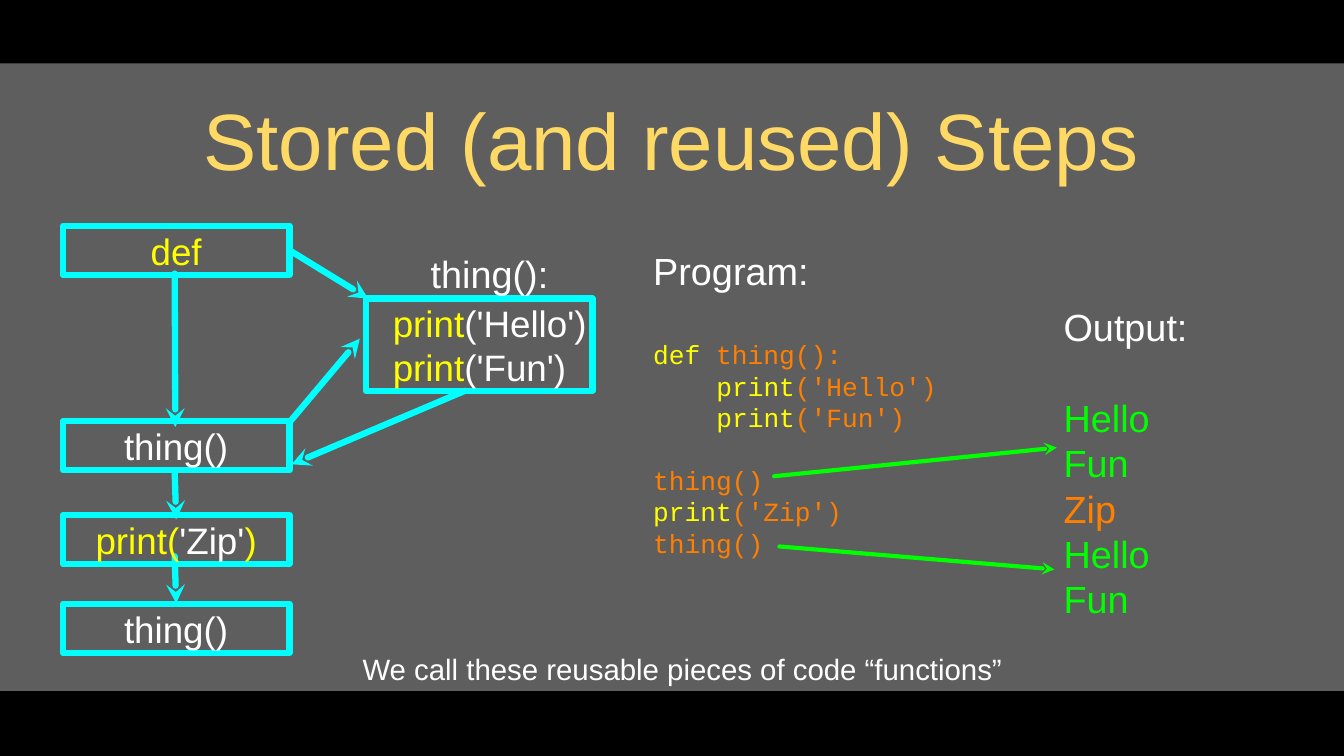
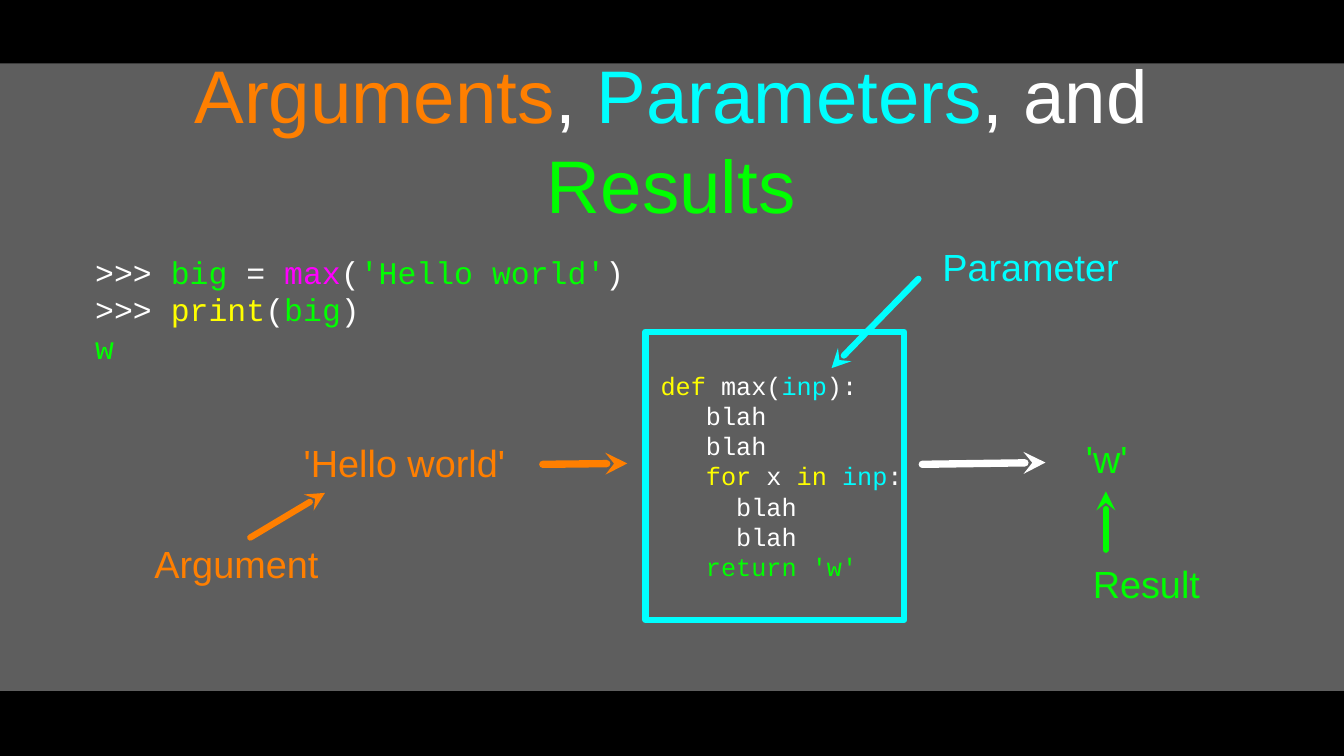
"""Build two slides on stored steps and on arguments, parameters and results."""
from itertools import repeat

from lxml.etree import SubElement
from pptx import Presentation
from pptx.dml.color import RGBColor
from pptx.enum.shapes import MSO_CONNECTOR, MSO_SHAPE
from pptx.enum.text import MSO_ANCHOR, PP_ALIGN
from pptx.oxml.ns import qn
from pptx.util import Cm, Pt

COLORS = {
    "background": "5E5E5E", "black": "000000", "white": "FFFFFF", "gold": "FFD966",
    "orange": "FF7F00", "green": "00FF00", "yellow": "FFFF00", "cyan": "00FFFF",
    "aqua": "00FDFF", "magenta": "FF00FF",
}
RGB = {name: RGBColor.from_string(value) for name, value in COLORS.items()}
SLIDE_WIDTH, SLIDE_HEIGHT = 45.16, 25.4
TITLE_BOX = (3.2, 2.24, 38.71, 4.83)
BANDS = [(0, 2.13), (23.22, 2.18)]
LABEL_HEIGHT = 1.73
LINE_FACTOR = 1.2
CODE_FONT = "Courier New"


def add_text(slide, box, lines, size, font="Arial", align=PP_ALIGN.CENTER, indents=repeat(0), outlined=False):
    left, top, width, height = map(Cm, box)
    if outlined:
        shape = slide.shapes.add_shape(MSO_SHAPE.RECTANGLE, left, top, width, height)
        shape.shadow.inherit = False
        shape.fill.background()
        shape.line.color.rgb = RGB["cyan"]
        shape.line.width = Pt(6)
    else:
        shape = slide.shapes.add_textbox(left, top, width, height)
    frame = shape.text_frame
    frame.word_wrap = True
    frame.vertical_anchor = MSO_ANCHOR.MIDDLE
    frame.margin_left = frame.margin_top = frame.margin_right = frame.margin_bottom = 0
    for index, (runs, indent) in enumerate(zip(lines, indents)):
        paragraph = frame.add_paragraph() if index else frame.paragraphs[0]
        paragraph.alignment = align
        paragraph.line_spacing = Pt(size * LINE_FACTOR)
        paragraph.font.size = Pt(size)
        paragraph.font.name = font
        paragraph._p.get_or_add_pPr().set("marL", str(Cm(indent)))
        for text, color in runs:
            run = paragraph.add_run()
            run.text = text
            run.font.color.rgb = RGB[color]
    return frame.paragraphs


def add_arrow(slide, start, end, color, width):
    arrow = slide.shapes.add_connector(MSO_CONNECTOR.STRAIGHT, *map(Cm, start + end))
    arrow.line.color.rgb = RGB[color]
    arrow.line.width = Pt(width)
    line = arrow.line._get_or_add_ln()
    line.set("cap", "rnd")
    SubElement(line, qn("a:tailEnd"), type="stealth")
    SubElement(arrow._element.spPr, qn("a:effectLst"))


presentation = Presentation()
presentation.slide_width = Cm(SLIDE_WIDTH)
presentation.slide_height = Cm(SLIDE_HEIGHT)
background = presentation.slide_master.background.fill
background.solid()
background.fore_color.rgb = RGB["background"]

titles = [
    (76, [("Stored (and reused) Steps", "gold")]),
    (71, [("Arguments", "orange"), (", ", "white"), ("Parameters", "cyan"),
          (", and ", "white"), ("Results", "green")]),
]
for size, runs in titles:
    slide = presentation.slides.add_slide(presentation.slide_layouts[6])
    for top, height in BANDS:
        band = slide.shapes.add_shape(MSO_SHAPE.RECTANGLE, 0, Cm(top), Cm(SLIDE_WIDTH), Cm(height))
        band.shadow.inherit = False
        band.fill.solid()
        band.fill.fore_color.rgb = RGB["black"]
        band.line.fill.background()
    add_text(slide, TITLE_BOX, [runs], size)
steps_slide, arguments_slide = presentation.slides

flow_arrows = [
    ((5.87, 9.19), (5.89, 14.35)),
    ((5.87, 15.88), (5.92, 17.45)),
    ((5.87, 18.69), (5.92, 20.27)),
    ((9.73, 8.41), (12.37, 10.03)),
    ((9.7, 14.22), (12.09, 11.38)),
    ((15.62, 13.13), (9.8, 15.6)),
]
for start, end in flow_arrows:
    add_arrow(steps_slide, start, end, "cyan", 6)
add_arrow(steps_slide, (26.01, 16), (35.51, 15.04), "green", 4)
add_arrow(steps_slide, (26.19, 18.36), (35.43, 19.13), "green", 4)

steps = [
    (7.59, [("def", "yellow")]),
    (14.15, [("thing()", "white")]),
    (17.3, [("print(", "yellow"), ("'Zip'", "white"), (")", "yellow")]),
    (20.29, [("thing()", "white")]),
]
for top, runs in steps:
    add_text(steps_slide, (2.11, top, 7.62, 1.65), [runs], 35, outlined=True)

function_body = [
    [("print", "yellow"), ("('Hello')", "white")],
    [("print", "yellow"), ("('Fun')", "white")],
]
add_text(steps_slide, (12.29, 10.03, 7.62, 3.1), function_body, 35,
         align=PP_ALIGN.LEFT, indents=repeat(0.91), outlined=True)
add_text(steps_slide, (14, 8.33, 4.9, LABEL_HEIGHT), [[("thing():", "white")]], 36)
add_text(steps_slide, (10.69, 21.59, 24.46, LABEL_HEIGHT),
         [[("We call these reusable pieces of code “functions”", "white")]], 28)

program = [
    [("Program:", "white")],
    [("def", "yellow"), (" thing():", "orange")],
    [("print", "yellow"), ("('Hello')", "orange")],
    [("print", "yellow"), ("('Fun')", "orange")],
    [("thing()", "orange")],
    [("print", "yellow"), ("('Zip')", "orange")],
    [("thing()", "orange")],
]
paragraphs = add_text(steps_slide, (21.95, 8.26, 9.96, 10.57), program, 25, CODE_FONT,
                      PP_ALIGN.LEFT, [0, 0, 2.12, 2.12, 0, 0, 0])
paragraphs[0].font.size = Pt(36)
paragraphs[0].font.name = "Arial"
paragraphs[0].line_spacing = Pt(36 * LINE_FACTOR)
paragraphs[1].space_before = Pt(36 * LINE_FACTOR)
paragraphs[4].space_before = Pt(25 * LINE_FACTOR)

output = [("Output:", "white"), ("Hello", "green"), ("Fun", "green"),
          ("Zip", "orange"), ("Hello", "green"), ("Fun", "green")]
paragraphs = add_text(steps_slide, (35.74, 10.34, 8.79, 10.41), [[run] for run in output], 36,
                      align=PP_ALIGN.LEFT)
paragraphs[1].space_before = Pt(36 * LINE_FACTOR)

console = [
    [(">>> ", "white"), ("big", "green"), (" = ", "white"), ("max", "magenta"),
     ("(", "white"), ("'Hello world'", "green"), (")", "white")],
    [(">>> ", "white"), ("print", "yellow"), ("(", "white"), ("big", "green"), (")", "white")],
    [("w", "green")],
]
add_text(arguments_slide, (3.2, 8.08, 20.98, 4.62), console, 30, CODE_FONT, PP_ALIGN.LEFT)

blah = [("blah", "white")]
max_function = [
    [("def", "yellow"), (" max(", "white"), ("inp", "cyan"), ("):", "white")],
    blah,
    blah,
    [("for", "yellow"), (" x ", "white"), ("in ", "yellow"), ("inp", "aqua"), (":", "white")],
    blah,
    blah,
    [("return 'w'", "green")],
]
character_width = 0.508
max_indents = [character_width * count for count in (1, 4, 4, 4, 6, 6, 4)]
add_text(arguments_slide, (21.69, 11.15, 8.69, 9.68), max_function, 24, CODE_FONT,
         PP_ALIGN.LEFT, max_indents, outlined=True)

labels = [
    ("'Hello world'", "orange", 9.63, 14.68, 7.92),
    ("'w'", "green", 36.3, 14.53, 1.78),
    ("Argument", "orange", 4.72, 18.06, 6.45),
    ("Parameter", "cyan", 31.19, 8.08, 6.88),
    ("Result", "green", 36.17, 18.75, 4.7),
]
for text, color, left, top, width in labels:
    add_text(arguments_slide, (left, top, width, LABEL_HEIGHT), [[(text, color)]], 36)

data_arrows = [
    ((18.24, 15.6), (21.08, 15.57), "orange", 7),
    ((30.99, 15.6), (35.13, 15.54), "white", 7),
    ((8.41, 18.06), (10.92, 16.56), "orange", 6),
    ((30.86, 9.37), (27.94, 12.37), "cyan", 6),
    ((37.16, 18.47), (37.16, 16.51), "green", 6),
]
for start, end, color, width in data_arrows:
    add_arrow(arguments_slide, start, end, color, width)

presentation.save("out.pptx")
